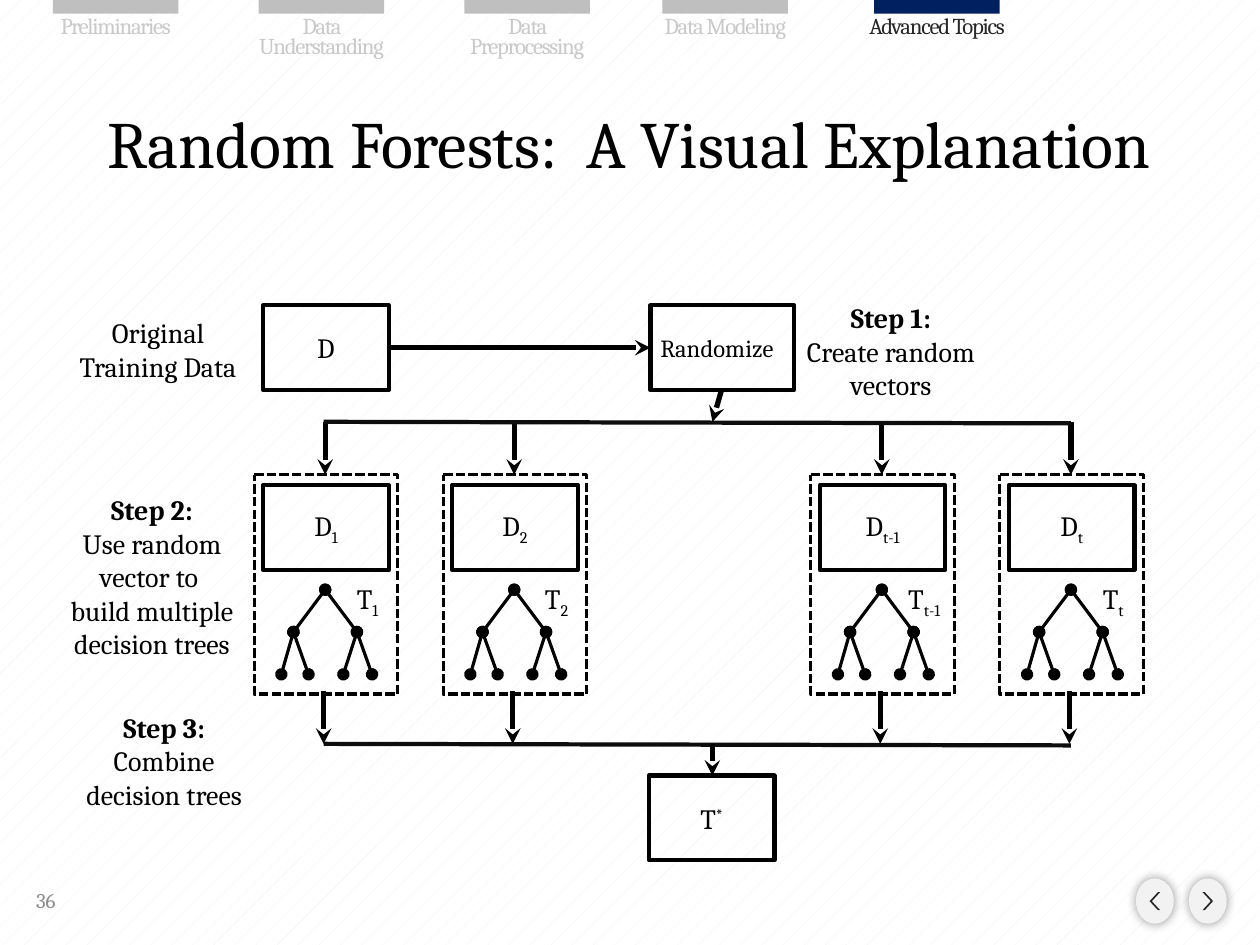
from dataclasses import dataclass

from lxml import etree
from pptx import Presentation
from pptx.dml.color import RGBColor
from pptx.enum import dml, shapes, text
from pptx.oxml.ns import qn
from pptx.util import Inches, Pt

SHAPE = shapes.MSO_SHAPE


@dataclass(frozen=True)
class Theme:
    font: str = "Cambria"
    ink: str = "000000"
    rail: str = "0D0D0D"
    dark: str = "262626"
    active: str = "002060"
    idle_bar: str = "BFBFBF"
    idle_label: str = "C9C9C9"
    number: str = "8C8C8C"
    pale: str = "F2F2F2"
    paper: str = "FFFFFF"
    title_size: float = 31.5
    body_size: float = 13.3
    step_size: float = 11.7
    tab_size: float = 10.8
    number_size: float = 10


THEME = Theme()


def write(frame, paragraphs, size=THEME.body_size, color=THEME.ink, align="CENTER",
          anchor="TOP", insets=(0.1, 0.05, 0.1, 0.05), wrap=True, leading=None, spacing=None):
    """Each paragraph is a string or a list of (words, character attributes) runs."""
    frame.word_wrap = wrap
    frame.auto_size = text.MSO_AUTO_SIZE.NONE
    frame.vertical_anchor = text.MSO_ANCHOR[anchor]
    (frame.margin_left, frame.margin_top,
     frame.margin_right, frame.margin_bottom) = map(Inches, insets)
    for index, runs in enumerate(paragraphs):
        paragraph = frame.add_paragraph() if index else frame.paragraphs[0]
        paragraph.alignment = text.PP_ALIGN[align]
        if leading:
            paragraph.line_spacing = leading
        for words, attributes in [(runs, {})] if isinstance(runs, str) else runs:
            run = paragraph.add_run()
            run.text = words
            run.font.name = THEME.font
            run.font.size = Pt(size)
            run.font.color.rgb = RGBColor.from_string(color)
            if spacing:
                run.font._element.set("spc", str(int(spacing * 100)))
            for key, value in attributes.items():
                run.font._element.set(key, value)


def add_text(parent, box, paragraphs, **format):
    label = parent.add_textbox(*map(Inches, box))
    write(label.text_frame, paragraphs, **format)


def add_block(parent, kind, box, fill=None, line=None, dash=None):
    block = parent.add_shape(kind, *map(Inches, box))
    block.shadow.inherit = False
    if fill:
        block.fill.solid()
        block.fill.fore_color.rgb = RGBColor.from_string(fill)
    else:
        block.fill.background()
    if line:
        block.line.color.rgb = RGBColor.from_string(THEME.ink)
        block.line.width = Pt(line)
        block.line.dash_style = dash
    else:
        block.line.fill.background()
    return block


def add_line(parent, start, end, width=2.5, color=THEME.ink, head=None, tail=None):
    line = parent.add_connector(shapes.MSO_CONNECTOR.STRAIGHT, *map(Inches, (*start, *end)))
    line.line.color.rgb = RGBColor.from_string(color)
    line.line.width = Pt(width)
    outline = line.line._get_or_add_ln()
    for tag, kind in (("a:headEnd", head), ("a:tailEnd", tail)):
        if kind:
            etree.SubElement(outline, qn(tag), type=kind)
    etree.SubElement(line._element.spPr, qn("a:effectLst"))


def add_arrow(parent, start, end):
    add_line(parent, start, end, tail="stealth")


def add_process(parent, box, runs, **format):
    process = add_block(parent, SHAPE.FLOWCHART_PROCESS, box, line=2)
    write(process.text_frame, [runs], anchor="MIDDLE", **format)


def indexed(letter, index, baseline="-25000"):
    return [(letter, {}), (index, {"baseline": baseline})]


def add_section_tabs(parent, left, top):
    sections = (("Preliminaries", 0), ("Data Understanding", 1.36), ("Data Preprocessing", 2.72),
                ("Data Modeling", 4.03), ("Advanced Topics", 5.43))
    bar_width, label_width = 0.83, 1.08
    for section, offset in sections:
        active = section == "Advanced Topics"
        x = left + offset
        add_block(parent, SHAPE.RECTANGLE, (x, top, bar_width, 0.09),
                  fill=THEME.active if active else THEME.idle_bar)
        add_text(parent, (x + (bar_width - label_width) / 2, top + 0.09, label_width, 0.34),
                 [section], size=THEME.tab_size, insets=(0.06, 0.03, 0.06, 0.03),
                 color=THEME.dark if active else THEME.idle_label, leading=0.75, spacing=-0.6)


def add_navigation(parent, left, top):
    for x, turn in ((left, 180), (left + 0.35, 0)):
        button = add_block(parent, SHAPE.OVAL, (x, top, 0.25, 0.3), fill=THEME.pale)
        effects = button._element.spPr.find(qn("a:effectLst"))
        glow = etree.SubElement(effects, qn("a:outerShdw"), blurRad=str(Pt(5)), dist="0")
        shade = etree.SubElement(glow, qn("a:srgbClr"), val=THEME.ink)
        etree.SubElement(shade, qn("a:alpha"), val="40000")
        chevron = add_block(parent, SHAPE.CHEVRON, (x + 0.09, top + 0.09, 0.07, 0.12),
                            fill=THEME.dark)
        chevron.adjustments[0] = 0.79
        chevron.rotation = turn


def add_tree(parent, x, y):
    """Draw a binary tree of three levels with its root at x, y."""
    branches = parent.add_group_shape().shapes
    for child, leaves in ((-0.21, (-0.29, -0.11)), (0.21, (0.12, 0.31))):
        node = (x + child, y + 0.28)
        add_line(branches, (x, y), node, width=1.5, head="oval", tail="oval")
        for leaf in leaves:
            add_line(branches, node, (x + leaf, y + 0.56), width=1.5, head="oval", tail="oval")


def add_sample(parent, left, top, index):
    """Draw one random sample with its tree, fed from above and drained below."""
    add_process(parent, (left + 0.06, top + 0.07, 0.83, 0.56), indexed("D", index), wrap=False)
    add_tree(parent, left + 0.47, top + 0.76)
    add_text(parent, (left + 0.52, top + 0.66, 0.46, 0.33), [indexed("T", index)], wrap=False)
    add_block(parent, SHAPE.FLOWCHART_PROCESS, (left, top, 0.95, 1.45), line=1.5,
              dash=dml.MSO_LINE.SQUARE_DOT).line
    add_arrow(parent, (left + 0.47, top - 0.35), (left + 0.47, top))
    add_arrow(parent, (left + 0.46, top + 1.43), (left + 0.46, top + 1.78))


def add_forest(parent, left, top):
    """Draw the flow from the training data to the combined tree."""
    for offset, index in ((0, "1"), (1.25, "2"), (3.68, "t-1"), (4.93, "t")):
        add_sample(parent, left + offset, top + 1.12, index)
    add_process(parent, (left + 0.06, top, 0.83, 0.56), "D")
    add_process(parent, (left + 2.62, top, 0.95, 0.56), "Randomize",
                size=THEME.step_size, insets=(0, 0.05, 0.07, 0.05))
    add_process(parent, (left + 2.61, top + 3.11, 0.83, 0.56), indexed("T", "*", "30000"))
    for y in (0.77, 2.9):
        add_line(parent, (left + 0.46, top + y), (left + 5.4, top + y + 0.01),
                 width=2, color=THEME.rail)
    add_arrow(parent, (left + 0.89, top + 0.28), (left + 2.62, top + 0.28))
    add_arrow(parent, (left + 3.09, top + 0.56), (left + 3.03, top + 0.77))
    add_arrow(parent, (left + 3.03, top + 2.9), (left + 3.03, top + 3.11))


def add_steps(parent, left, top):
    add_text(parent, (left + 0.08, top + 0.1, 1.31, 0.55), ["Original Training Data"])
    steps = (("Step 1:", ["Create random vectors"], (4.87, 0, 1.42, 0.77)),
             ("Step 2:", ["Use random vector to ", "build multiple decision trees"],
              (0, 1.27, 1.39, 1.22)),
             ("Step 3:", ["Combine decision trees"], (0.08, 2.71, 1.39, 0.77)))
    for heading, details, (x, y, width, height) in steps:
        add_text(parent, (left + x, top + y, width, height),
                 [[(heading, {"b": "1"})], *details])


def set_title(title, box, words):
    title.left, title.top, title.width, title.height = map(Inches, box)
    write(title.text_frame, [words], size=THEME.title_size, anchor="MIDDLE")


def main():
    deck = Presentation()
    deck.slide_width, deck.slide_height = Inches(8.33), Inches(6.25)
    slide = deck.slides.add_slide(deck.slide_layouts[5])
    backdrop = slide.background.fill
    backdrop.patterned()
    backdrop.pattern = dml.MSO_PATTERN.PERCENT_5
    backdrop.fore_color.rgb = RGBColor.from_string(THEME.pale)
    backdrop.back_color.rgb = RGBColor.from_string(THEME.paper)

    add_navigation(slide.shapes, 7.51, 5.81)
    add_section_tabs(slide.shapes, 0.35, 0)
    set_title(slide.shapes.title, (0.21, 0.42, 7.9, 1.04), "Random Forests:  A Visual Explanation")
    add_text(slide.shapes, (0.14, 5.79, 1.94, 0.33), ["36"], size=THEME.number_size,
             color=THEME.number, align="LEFT", anchor="MIDDLE")
    add_forest(slide.shapes, 1.68, 2.02)
    add_steps(slide.shapes, 0.31, 1.94)
    deck.save("out.pptx")


if __name__ == "__main__":
    main()
